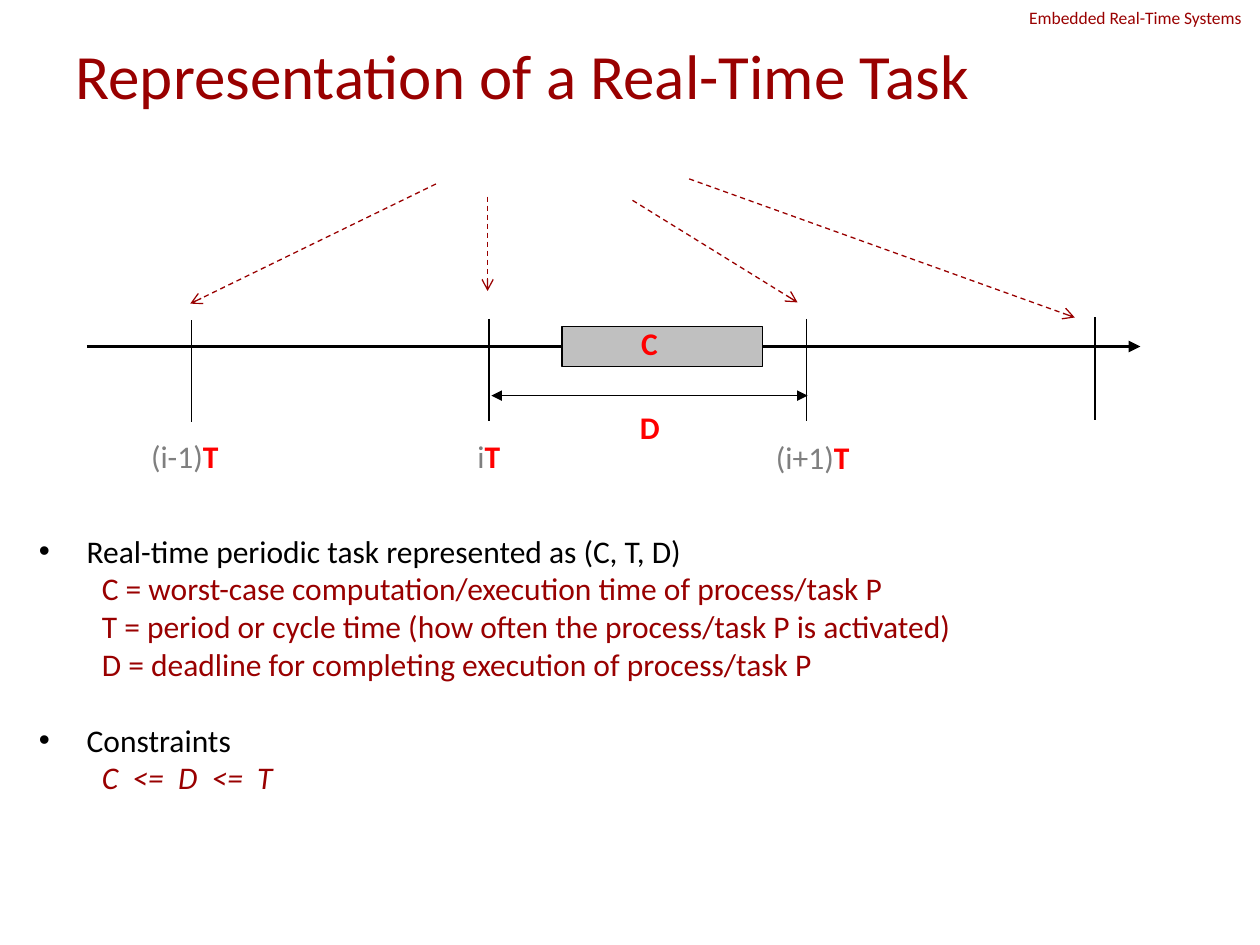
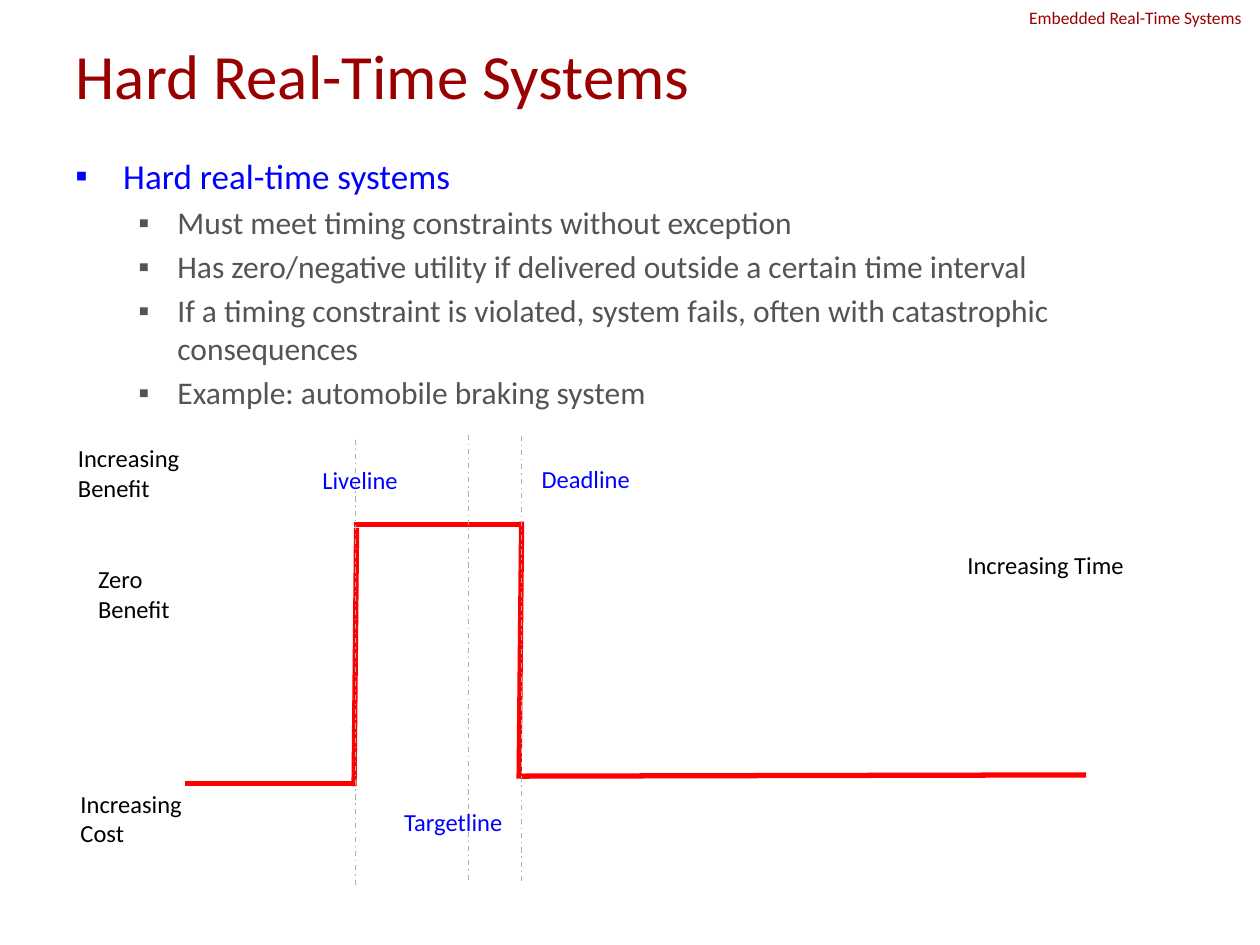
"""Build two slides on real-time tasks and hard real-time systems."""
from dataclasses import dataclass

from lxml import etree
from pptx import Presentation
from pptx import util as u
from pptx.dml.color import RGBColor
from pptx.enum import dml, shapes, text
from pptx.oxml.ns import qn

PX = 9144
FONT = "Calibri"
COLORS = {
    "maroon": "990000",
    "black": "000000",
    "red": "FF0000",
    "blue": "0000FF",
    "gray": "7F7F7F",
    "body": "545454",
    "silver": "C0C0C0",
    "guide": "AEAEAE",
}
DASH = dml.MSO_LINE.DASH
DASH_DOT = dml.MSO_LINE.DASH_DOT


@dataclass(frozen=True)
class Run:
    text: str
    color: str = "black"
    size: int = 18
    bold: bool = False
    italic: bool = False


@dataclass(frozen=True)
class Label:
    box: tuple[int, int, int, int]
    lines: tuple[tuple[Run, ...], ...]
    wrap: bool = True


@dataclass(frozen=True)
class Line:
    start: tuple[int, int]
    end: tuple[int, int]
    color: str = "black"
    width: float = 0.75
    dash: dml.MSO_LINE | None = None
    head: str = ""
    tail: str = ""


@dataclass(frozen=True)
class Item:
    run: Run
    level: int = 0
    bullet: str = ""
    before: float = 0


def px(*values: int) -> list[int]:
    return [u.Emu(v * PX) for v in values]


def rgb(name: str) -> RGBColor:
    return RGBColor.from_string(COLORS[name])


def format_run(r, run: Run) -> None:
    r.font.name = FONT
    r.font.size = u.Pt(run.size)
    r.font.bold = run.bold
    r.font.italic = run.italic
    r.font.color.rgb = rgb(run.color)


def add_label(s, label: Label) -> None:
    tf = s.shapes.add_textbox(*px(*label.box)).text_frame
    tf.word_wrap = label.wrap
    for i, line in enumerate(label.lines):
        p = tf.add_paragraph() if i else tf.paragraphs[0]
        for run in line:
            r = p.add_run()
            r.text = run.text
            format_run(r, run)


def add_line(s, line: Line) -> None:
    c = s.shapes.add_connector(shapes.MSO_CONNECTOR.STRAIGHT, *px(*line.start, *line.end))
    c.line.color.rgb = rgb(line.color)
    c.line.width = u.Pt(line.width)
    if line.dash:
        c.line.dash_style = line.dash
    spPr = c.element.spPr
    ln = spPr.find(qn("a:ln"))
    for tag, kind in (("a:headEnd", line.head), ("a:tailEnd", line.tail)):
        if kind:
            etree.SubElement(ln, qn(tag), type=kind)
    etree.SubElement(spPr, qn("a:effectLst"))


def add_items(s, box: tuple[int, int, int, int], items: list[Item]) -> None:
    tf = s.shapes.add_textbox(*px(*box)).text_frame
    tf.word_wrap = True
    for i, item in enumerate(items):
        p = tf.add_paragraph() if i else tf.paragraphs[0]
        p.text = item.run.text
        p.level = item.level
        p.space_before = u.Pt(item.before)
        format_run(p.runs[0], item.run)
        margin, indent = px(*((38, -38), (81, -31))[item.level])
        pPr = p._p.get_or_add_pPr()
        pPr.set("marL", str(margin))
        pPr.set("indent", str(indent))
        if item.bullet:
            etree.SubElement(pPr, qn("a:buFont"), typeface="Arial")
            etree.SubElement(pPr, qn("a:buChar"), char=item.bullet)


def add_slide(prs, title: str):
    s = prs.slides.add_slide(prs.slide_layouts[5])
    sp = s.shapes.title
    sp.left, sp.top, sp.width, sp.height = px(50, 30, 900, 58)
    tf = sp.text_frame
    tf.text = title
    tf.vertical_anchor = text.MSO_ANCHOR.MIDDLE
    tf.paragraphs[0].alignment = text.PP_ALIGN.LEFT
    format_run(tf.paragraphs[0].runs[0], Run(title, "maroon", 36))
    header = Run("Embedded Real-Time Systems", "maroon", 10)
    add_label(s, Label((807, 1, 227, 27), ((header,),)))
    return s


def build_task_slide(prs) -> None:
    s = add_slide(prs, "Representation of a Real-Time Task")
    add_line(s, Line((69, 275), (905, 275), width=2.25, tail="triangle"))
    for x, top in ((152, 254), (388, 253), (640, 253), (869, 252)):
        add_line(s, Line((x, top), (x, top + 81)))

    sp = s.shapes.add_shape(shapes.MSO_SHAPE.RECTANGLE, *px(446, 259, 159, 32))
    sp.shadow.inherit = False
    sp.fill.solid()
    sp.fill.fore_color.rgb = rgb("silver")
    sp.line.color.rgb = rgb("black")
    sp.line.width = u.Pt(0.75)

    add_line(s, Line((390, 314), (641, 314), head="triangle", tail="triangle"))
    for start, end in (
        ((346, 146), (151, 241)),
        ((387, 156), (387, 231)),
        ((502, 159), (633, 240)),
        ((547, 142), (853, 252)),
    ):
        add_line(s, Line(start, end, "maroon", dash=DASH, tail="arrow"))

    for name, left, top in (("C", 499, 252), ("D", 498, 319)):
        add_label(s, Label((left, top, 36, 67), ((Run(name, "red", bold=True),),)))
    period = Run("T", "red", bold=True)
    for factor, box in (
        ("(i-1)", (110, 342, 105, 40)),
        ("i", (369, 342, 51, 40)),
        ("(i+1)", (606, 343, 88, 40)),
    ):
        add_label(s, Label(box, ((Run(factor, "gray"), period),)))

    definitions = (
        "C = worst-case computation/execution time of process/task P",
        "T = period or cycle time (how often the process/task P is activated)",
        "D = deadline for completing execution of process/task P",
    )
    add_items(s, (21, 417, 925, 291), [
        Item(Run("Real-time periodic task represented as (C, T, D)"), bullet="•"),
        *(Item(Run(d, "maroon"), 1) for d in definitions),
        Item(Run("Constraints"), bullet="•", before=21.6),
        Item(Run("C  <=  D  <=  T", "maroon", italic=True), 1),
    ])


def build_hard_slide(prs) -> None:
    s = add_slide(prs, "Hard Real-Time Systems")
    properties = (
        "Must meet timing constraints without exception",
        "Has zero/negative utility if delivered outside a certain time interval",
        "If a timing constraint is violated, system fails, often with catastrophic consequences",
        "Example: automobile braking system",
    )
    add_items(s, (50, 118, 900, 552), [
        Item(Run("Hard real-time systems", "blue", 20), bullet="▪"),
        *(Item(Run(t, "body"), 1, "▪", 3.6) for t in properties),
    ])

    for start, end in (
        ((147, 622), (280, 622)),
        ((281, 624), (283, 419)),
        ((281, 416), (415, 416)),
        ((412, 618), (414, 414)),
        ((413, 616), (862, 615)),
    ):
        add_line(s, Line(start, end, "red", 3))
    for x, top in ((282, 349), (414, 346), (372, 345)):
        add_line(s, Line((x, top), (x, top + 354), "guide", dash=DASH_DOT))

    for color, box, lines in (
        ("blue", (420, 363, 90, 33), ("Deadline",)),
        ("blue", (246, 364, 85, 33), ("Liveline",)),
        ("blue", (311, 636, 100, 33), ("Targetline",)),
        ("black", (52, 347, 101, 57), ("Increasing", "Benefit")),
        ("black", (54, 621, 101, 57), ("Increasing", "Cost")),
        ("black", (758, 432, 147, 33), ("Increasing Time",)),
        ("black", (68, 443, 77, 57), ("Zero", "Benefit")),
    ):
        runs = tuple((Run(line, color, 14),) for line in lines)
        add_label(s, Label(box, runs, wrap=False))


def main() -> None:
    prs = Presentation()
    prs.slide_width, prs.slide_height = px(1000, 750)
    build_task_slide(prs)
    build_hard_slide(prs)
    prs.save("out.pptx")


if __name__ == "__main__":
    main()
